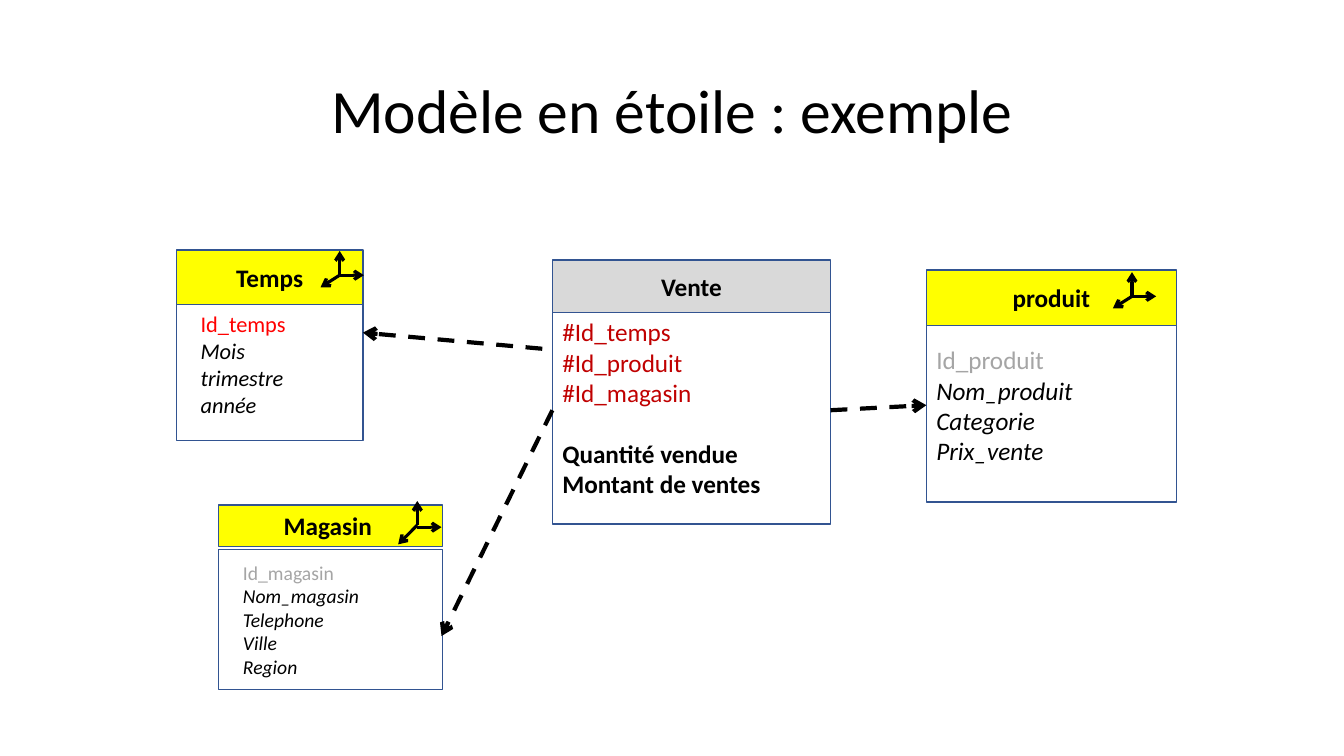
from dataclasses import dataclass
from typing import NamedTuple

from lxml import etree
from pptx import Presentation
from pptx.dml.color import RGBColor
from pptx.enum.dml import MSO_LINE
from pptx.enum.shapes import MSO_CONNECTOR, MSO_SHAPE
from pptx.enum.text import MSO_ANCHOR, MSO_AUTO_SIZE, PP_ALIGN
from pptx.oxml.ns import qn
from pptx.util import Inches, Pt

RECT = MSO_SHAPE.RECTANGLE
LINE = MSO_CONNECTOR.STRAIGHT
DASH = MSO_LINE.DASH
MID = MSO_ANCHOR.MIDDLE
LEFT, CENTER = PP_ALIGN.LEFT, PP_ALIGN.CENTER

COLS, ROWS = 133.33, 75  # grid of tenth-inch cells
FONT = "Calibri"
HUES = {
    "ink": "000000", "paper": "FFFFFF", "edge": "325491",
    "fact": "D9D9D9", "dim": "FFFF00",
    "key": "C00000", "red": "FF0000", "gray": "A5A5A5",
}
INSET = (1, 0.5, 1, 0.5)
DEEP = (2.4, 0.5, 1, 0.5)


class Row(NamedTuple):
    text: str
    hue: str = "ink"
    bold: bool = False
    italic: bool = False
    gap: float = 0


class Axes(NamedTuple):
    x: float
    y: float
    drop: float = 1.2
    shift: float = 0


class Link(NamedTuple):
    x1: float
    y1: float
    x2: float
    y2: float


@dataclass
class Entity:
    name: str
    x: float
    width: float
    head: tuple[float, float]  # top, height
    body: tuple[float, float]
    rows: list[Row]
    size: int = 18
    inset: tuple[float, float, float, float] = INSET
    axes: Axes | None = None


def attrs(*names: str) -> list[Row]:
    return [Row(name, italic=True) for name in names]


ENTITIES = [
    Entity("Vente", 54.8, 27.6, (25.8, 5.2), (29.4, 22.6),
           [Row("#Id_temps", "key"), Row("#Id_produit", "key"),
            Row("#Id_magasin", "key"),
            Row("Quantité vendue", bold=True, gap=22),
            Row("Montant de ventes", bold=True)],
           inset=(1, 0, 1, 0.5)),
    Entity("Magasin ", 21.7, 22.2, (50.1, 4.1), (54.5, 13.9),
           [Row("Id_magasin", "gray"),
            *attrs("Nom_magasin", "Telephone", "Ville", "Region")],
           size=14, inset=DEEP, axes=Axes(41.4, 52.1, 1.9, 0.2)),
    Entity("Temps", 17.5, 18.5, (24.8, 5.4), (28.5, 15.2),
           [Row("Id_temps", "red"), *attrs("Mois", "trimestre", "année")],
           size=16, inset=DEEP, axes=Axes(33.7, 27.3)),
    Entity("produit", 91.9, 24.8, (26.8, 5.5), (30.6, 19.2),
           [Row("Id_produit", "gray"),
            *attrs("Nom_produit", "Categorie", "Prix_vente")],
           axes=Axes(112.3, 29.4)),
]
LINKS = [
    Link(53.8, 34.6, 36, 33),
    Link(82.4, 40.7, 91.9, 40.2),
    Link(54.8, 40.7, 43.8, 63.1),
]


def grid(*cells: float) -> list[int]:
    return [Inches(cell / 10) for cell in cells]


def color(hue: str) -> RGBColor:
    return RGBColor.from_string(HUES[hue])


def style(font, size: float, row: Row) -> None:
    form = {"name": FONT, "size": Pt(size), "bold": row.bold, "italic": row.italic}
    for key, value in form.items():
        setattr(font, key, value)
    font.color.rgb = color(row.hue)


def write(frame, rows: list[Row], size: float, align, inset=INSET) -> None:
    left, top, right, low = grid(*inset)
    form = {"margin_left": left, "margin_top": top, "margin_right": right,
            "margin_bottom": low, "word_wrap": True, "vertical_anchor": MID,
            "auto_size": MSO_AUTO_SIZE.NONE}
    for key, value in form.items():
        setattr(frame, key, value)
    for num, row in enumerate(rows):
        para = frame.add_paragraph() if num else frame.paragraphs[0]
        para.alignment = align
        if row.gap:
            para.space_before = Pt(row.gap)
        run = para.add_run()
        run.text = row.text
        style(run.font, size, row)


def panel(shapes, area: tuple[float, ...], fill: str):
    box = shapes.add_shape(RECT, *grid(*area))
    box.shadow.inherit = False
    box.fill.solid()
    box.fill.fore_color.rgb = color(fill)
    box.line.color.rgb = color("edge")
    box.line.width = Pt(1)
    return box.text_frame


def arrow(shapes, link: Link, width: float, dash=None) -> None:
    wire = shapes.add_connector(LINE, *grid(*link))
    wire.line.color.rgb = color("ink")
    wire.line.width = Pt(width)
    if dash:
        wire.line.dash_style = dash
    props = wire.line._get_or_add_ln()
    etree.SubElement(props, qn("a:tailEnd"), type="arrow")
    etree.SubElement(wire._element.spPr, qn("a:effectLst"))


def draw_axes(shapes, axes: Axes) -> None:
    x, y, drop, shift = axes
    arrow(shapes, Link(x, y, x, y - 2.4), 2.25)
    arrow(shapes, Link(x, y + shift, x + 2.4, y + shift), 2.25)
    arrow(shapes, Link(x, y, x - 1.9, y + drop), 2.25)


def draw_entity(slide, item: Entity) -> None:
    shapes = slide.shapes.add_group_shape().shapes
    top, high = item.body
    body = panel(shapes, (item.x, top, item.width, high), "paper")
    write(body, item.rows, item.size, LEFT, item.inset)
    top, high = item.head
    fill = "dim" if item.axes else "fact"
    head = panel(shapes, (item.x, top, item.width, high), fill)
    write(head, [Row(item.name, bold=True)], 18, CENTER)
    if item.axes:
        draw_axes(shapes, item.axes)


def draw_title(slide, text: str) -> None:
    title = slide.shapes.title
    title.left, title.top, title.width, title.height = grid(9.2, 4, 115, 14.5)
    write(title.text_frame, [Row(text)], 44, CENTER)
    title.text_frame.paragraphs[0].line_spacing = 0.9


def main() -> None:
    deck = Presentation()
    deck.slide_width, deck.slide_height = grid(COLS, ROWS)
    slide = deck.slides.add_slide(deck.slide_layouts[5])
    draw_title(slide, "Modèle en étoile : exemple")
    for item in ENTITIES:
        draw_entity(slide, item)
    for link in LINKS:
        arrow(slide.shapes, link, 3, DASH)
    deck.save("out.pptx")


if __name__ == "__main__":
    main()
